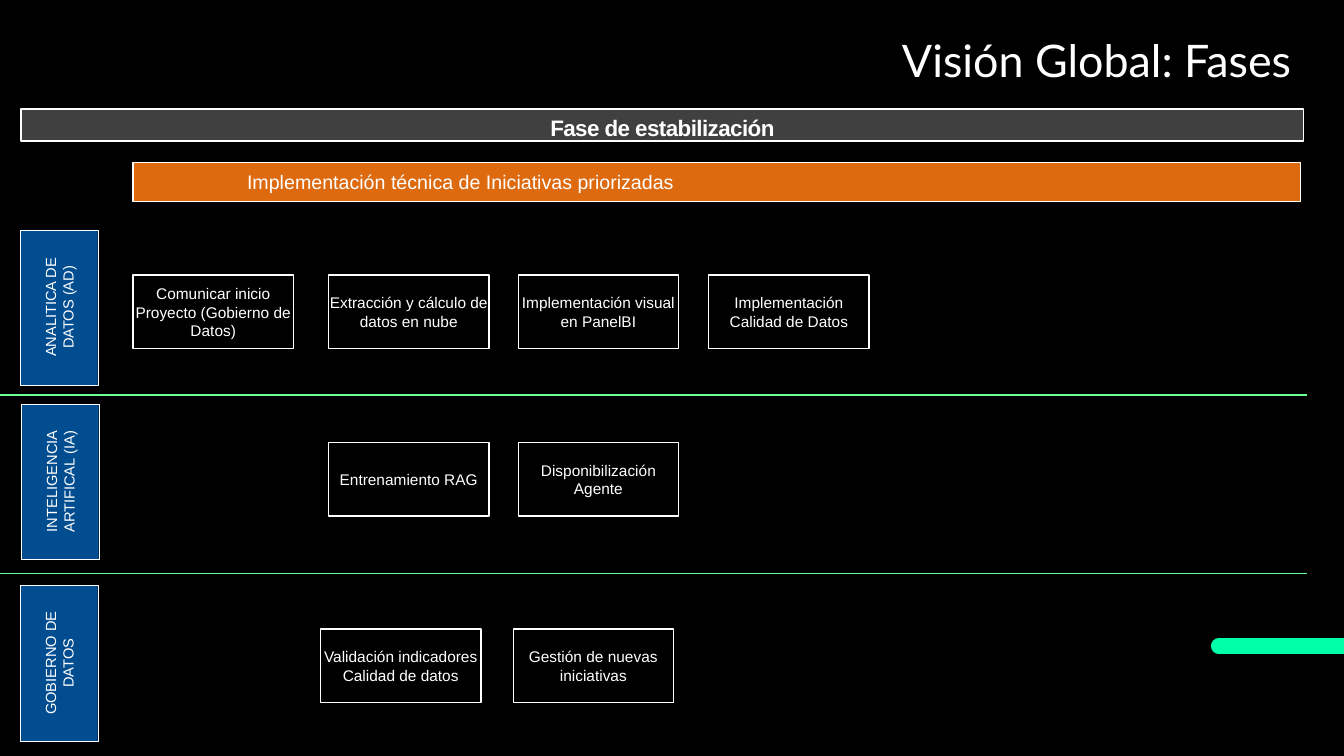
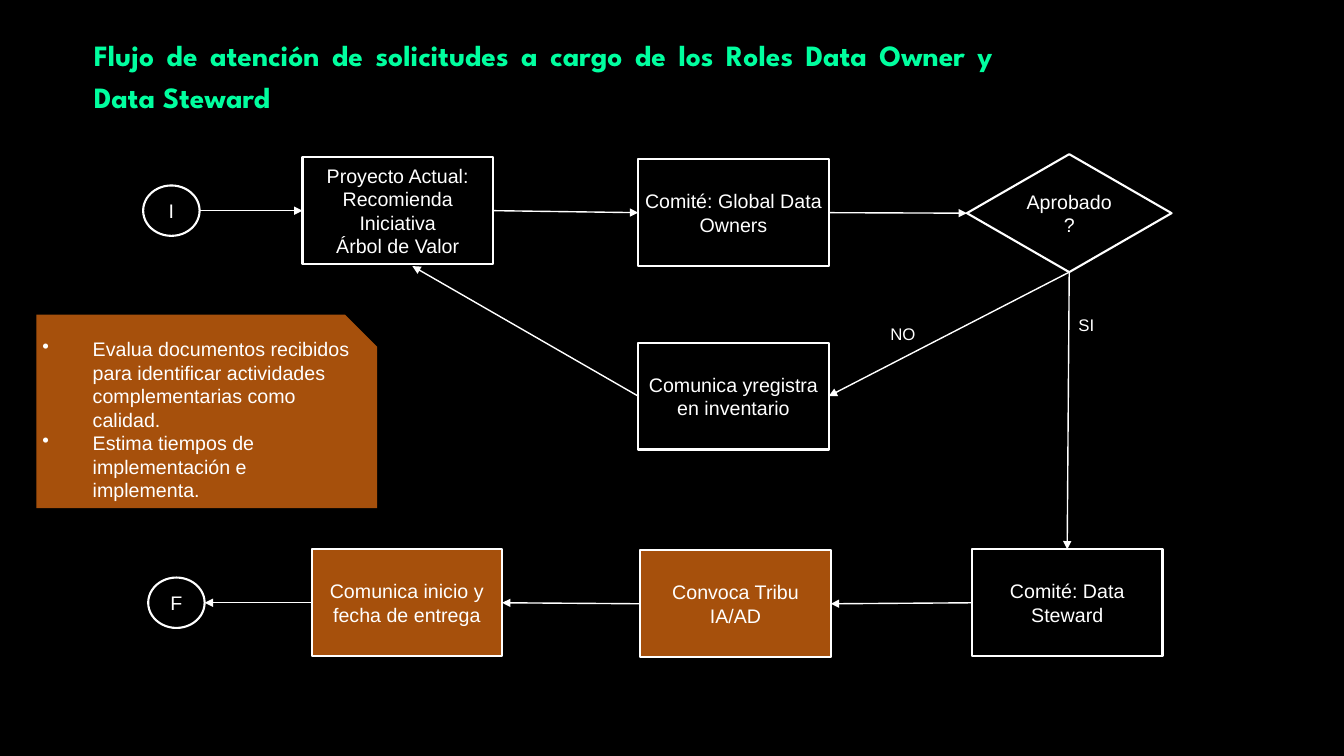
import dataclasses
import typing

import lxml.etree
import pptx
import pptx.dml.color
import pptx.enum.shapes
import pptx.enum.text
import pptx.oxml.ns
import pptx.util

SCALE = 9144
WHITE, BLACK, GRAY, BLUE = "FFFFFF", "000000", "404040", "024C90"
ORANGE, RUST = "DE6A10", "A6500C"
MINT, AQUA, GREEN = "00FF9F", "00FFA9", "69FF99"

SHAPE = pptx.enum.shapes.MSO_SHAPE
ALIGN = pptx.enum.text.PP_ALIGN
ANCHOR = pptx.enum.text.MSO_ANCHOR
Pt = pptx.util.Pt
qn = pptx.oxml.ns.qn

TOP, LEFT, BOTTOM, RIGHT = range(4)
SITES = {TOP: (0.5, 0), LEFT: (0, 0.5), BOTTOM: (0.5, 1), RIGHT: (1, 0.5)}


@dataclasses.dataclass
class Lane:
    label: str
    x: int
    y: int
    step_y: int
    steps: list[tuple[int, str]]


@dataclasses.dataclass
class Node:
    x: int
    y: int
    lines: list[str]
    w: int = 189
    h: int = 106
    kind: typing.Any = SHAPE.RECTANGLE
    fill: str | None = None


@dataclasses.dataclass
class Flow:
    start: str
    start_site: int
    end: str
    end_site: int


LANES = [
    Lane("ANALITICA DE DATOS (AD)", 20, 228, 273, [
        (132, "Comunicar inicio Proyecto (Gobierno de Datos)"),
        (326, "Extracción y cálculo de datos en nube"),
        (514, "Implementación visual en PanelBI"),
        (703, "Implementación Calidad de Datos")]),
    Lane("INTELIGENCIA ARTIFICAL (IA)", 21, 401, 439, [
        (326, "Entrenamiento RAG"),
        (514, "Disponibilización Agente")]),
    Lane("GOBIERNO DE DATOS", 20, 581, 624, [
        (318, "Validación indicadores Calidad de datos"),
        (509, "Gestión de nuevas iniciativas")]),
]

NODES = {
    "inicio": Node(142, 184, ["I"], 56, 50, SHAPE.OVAL),
    "proyecto": Node(300, 156, ["Proyecto Actual:", "Recomienda Iniciativa", "Árbol de Valor"]),
    "owners": Node(633, 158, ["Comité: Global Data Owners"]),
    "aprobado": Node(959, 153, ["Aprobado?"], 203, 117, SHAPE.FLOWCHART_DECISION),
    "inventario": Node(633, 340, ["Comunica yregistra en inventario"]),
    "steward": Node(964, 545, ["Comité: Data Steward"]),
    "tribu": Node(635, 546, ["Convoca Tribu IA/AD"], fill=RUST),
    "entrega": Node(309, 545, ["Comunica inicio y fecha de entrega"], fill=RUST),
    "fin": Node(147, 573, ["F"], 56, 50, SHAPE.OVAL),
}

FLOWS = [
    Flow("inicio", RIGHT, "proyecto", LEFT),
    Flow("proyecto", RIGHT, "owners", LEFT),
    Flow("owners", RIGHT, "aprobado", LEFT),
    Flow("aprobado", BOTTOM, "steward", TOP),
    Flow("aprobado", BOTTOM, "inventario", RIGHT),
    Flow("steward", LEFT, "tribu", RIGHT),
    Flow("tribu", LEFT, "entrega", RIGHT),
    Flow("entrega", LEFT, "fin", RIGHT),
]


def px(n: float) -> int:
    return round(n * SCALE)


def color(value: str) -> pptx.dml.color.RGBColor:
    return pptx.dml.color.RGBColor.from_string(value)


def write(sp, lines: list[str], *, size: float = 14, font: str = "Arial", fill: str = WHITE,
          bold: bool = False, align=ALIGN.CENTER, anchor=ANCHOR.MIDDLE,
          insets: tuple[int, int, int, int] = (6, 6, 6, 6), before: float = 0,
          line_spacing: float = 1.0, tracking: float = 0, indent: int = 0,
          bullet: str | None = None, vertical: bool = False) -> None:
    tf = sp.text_frame
    tf.word_wrap = True
    tf.auto_size = pptx.enum.text.MSO_AUTO_SIZE.NONE
    tf.vertical_anchor = anchor
    tf.margin_left, tf.margin_top, tf.margin_right, tf.margin_bottom = map(px, insets)
    if vertical:
        tf.paragraphs[0]._p.getparent().find(qn("a:bodyPr")).set("vert", "vert270")
    for i, text in enumerate(lines):
        p = tf.paragraphs[0] if i == 0 else tf.add_paragraph()
        p.alignment = align
        p.space_before = Pt(before)
        p.line_spacing = line_spacing
        pPr = p._p.get_or_add_pPr()
        if indent:
            pPr.set("marL", str(px(indent)))
        if bullet:
            pPr.set("indent", str(-px(indent)))
            lxml.etree.SubElement(pPr, qn("a:buChar")).set("char", bullet)
        r = p.add_run()
        r.text = text
        r.font.size = Pt(size)
        r.font.name = font
        r.font.bold = bold
        r.font.color.rgb = color(fill)
        if tracking:
            r._r.get_or_add_rPr().set("spc", str(round(tracking * 100)))


def add_box(slide, x: int, y: int, w: int, h: int, *, kind=SHAPE.RECTANGLE,
            fill: str | None = None, line: float = 1):
    sp = slide.shapes.add_shape(kind, px(x), px(y), px(w), px(h))
    sp.shadow.inherit = False
    if fill:
        sp.fill.solid()
        sp.fill.fore_color.rgb = color(fill)
    else:
        sp.fill.background()
    if line:
        sp.line.color.rgb = color(WHITE)
        sp.line.width = Pt(line)
    else:
        sp.line.fill.background()
    return sp


def add_line(slide, start: tuple[int, int], end: tuple[int, int], *, stroke: str = WHITE,
             width: float = 1, arrow: bool = False, rounded: bool = False):
    sp = slide.shapes.add_connector(pptx.enum.shapes.MSO_CONNECTOR.STRAIGHT, *start, *end)
    sp.line.color.rgb = color(stroke)
    sp.line.width = Pt(width)
    spPr = sp._element.spPr
    ln = spPr.find(qn("a:ln"))
    if rounded:
        ln.set("cap", "rnd")
    if arrow:
        lxml.etree.SubElement(ln, qn("a:tailEnd")).set("type", "triangle")
    lxml.etree.SubElement(spPr, qn("a:effectLst"))
    return sp


def site_point(sp, site: int) -> tuple[int, int]:
    fx, fy = SITES[site]
    return round(sp.left + sp.width * fx), round(sp.top + sp.height * fy)


def add_flow(slide, shapes: dict, flow: Flow) -> None:
    start, end = shapes[flow.start], shapes[flow.end]
    sp = add_line(slide, site_point(start, flow.start_site),
                  site_point(end, flow.end_site), arrow=True)
    if NODES[flow.start].kind != SHAPE.OVAL:
        sp.begin_connect(start, flow.start_site)
    if NODES[flow.end].kind != SHAPE.OVAL:
        sp.end_connect(end, flow.end_site)


def add_titled_slide(prs, text: str, x: int, y: int, w: int, h: int, **fmt):
    slide = prs.slides.add_slide(prs.slide_layouts[5])
    sp = slide.shapes.title
    sp.left, sp.top, sp.width, sp.height = map(px, (x, y, w, h))
    write(sp, [text], anchor=ANCHOR.TOP, **fmt)
    return slide


def build_phases(prs) -> None:
    slide = add_titled_slide(prs, "Visión Global: Fases", 260, 27, 1031, 64, size=32,
                             font="Lato", align=ALIGN.RIGHT, insets=(10, 5, 10, 5))
    add_line(slide, (px(1209), px(641)), (px(1333), px(641)),
             stroke=AQUA, width=11.5, rounded=True)
    write(add_box(slide, 21, 108, 1272, 32, fill=GRAY), ["Fase de estabilización"],
          size=16, bold=True, tracking=-0.4, before=3.3, anchor=ANCHOR.TOP,
          insets=(0, 5, 0, 0))
    write(add_box(slide, 132, 161, 1158, 39, fill=ORANGE),
          ["Implementación técnica de Iniciativas priorizadas"],
          align=ALIGN.LEFT, before=8.1, indent=58, insets=(55, 8, 0, 8))
    for lane in LANES:
        write(add_box(slide, lane.x, lane.y, 77, 154, fill=BLUE, line=0.25),
              [lane.label], size=10.5, vertical=True)
        for x, text in lane.steps:
            write(add_box(slide, x, lane.step_y, 159, 73), [text],
                  size=11, insets=(0, 0, 0, 0))
    for y in (392, 569):
        add_line(slide, (0, px(y)), (px(1296), px(y)), stroke=GREEN)


def build_request_flow(prs) -> None:
    slide = add_titled_slide(
        prs, "Flujo de atención de solicitudes a cargo de los Roles Data Owner y Data Steward",
        93, 30, 892, 85, size=21, font="League Spartan", fill=MINT, bold=True,
        align=ALIGN.JUSTIFY, line_spacing=1.2, insets=(0, 0, 0, 0))
    shapes = {}
    for key, node in NODES.items():
        sp = add_box(slide, node.x, node.y, node.w, node.h,
                     kind=node.kind, fill=node.fill, line=1.5)
        write(sp, node.lines)
        shapes[key] = sp
    for flow in FLOWS:
        add_flow(slide, shapes, flow)
    back = add_line(slide, site_point(shapes["inventario"], LEFT), (px(409), px(264)), arrow=True)
    back.begin_connect(shapes["inventario"], LEFT)
    for text, x, y in (("SI", 1023, 306), ("NO", 841, 315)):
        write(slide.shapes.add_textbox(px(x), px(y), px(109), px(32)), [text], size=12)
    write(add_box(slide, 36, 312, 338, 192, kind=SHAPE.SNIP_1_RECTANGLE, fill=RUST, line=0),
          ["Evalua documentos recibidos para identificar actividades complementarias como calidad.",
           "Estima tiempos de implementación e implementa."],
          align=ALIGN.LEFT, indent=50, bullet="•")


def main() -> None:
    prs = pptx.Presentation()
    prs.slide_width, prs.slide_height = px(1333), px(750)
    background = prs.slide_master.background.fill
    background.solid()
    background.fore_color.rgb = color(BLACK)
    build_phases(prs)
    build_request_flow(prs)
    prs.save("out.pptx")


if __name__ == "__main__":
    main()
